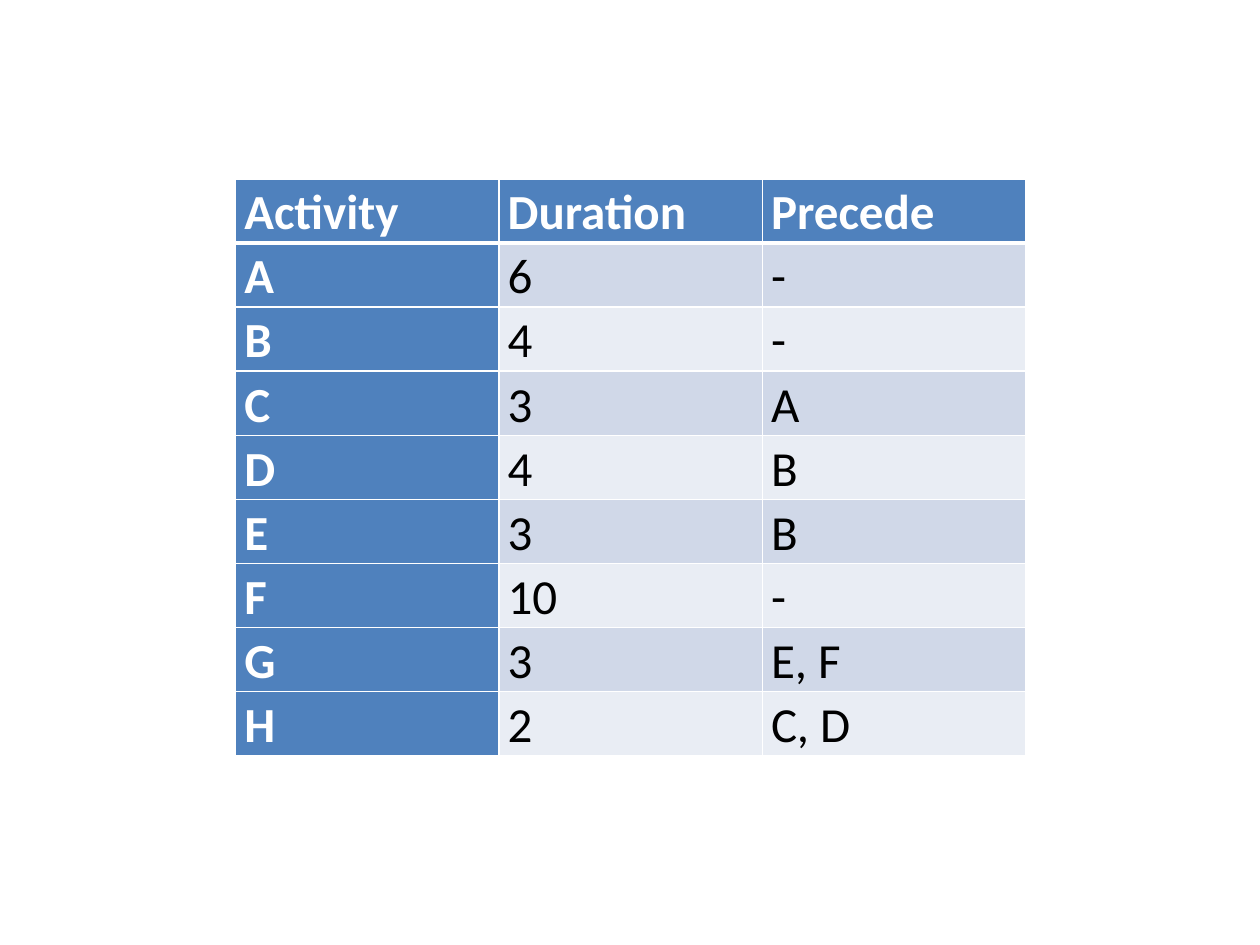
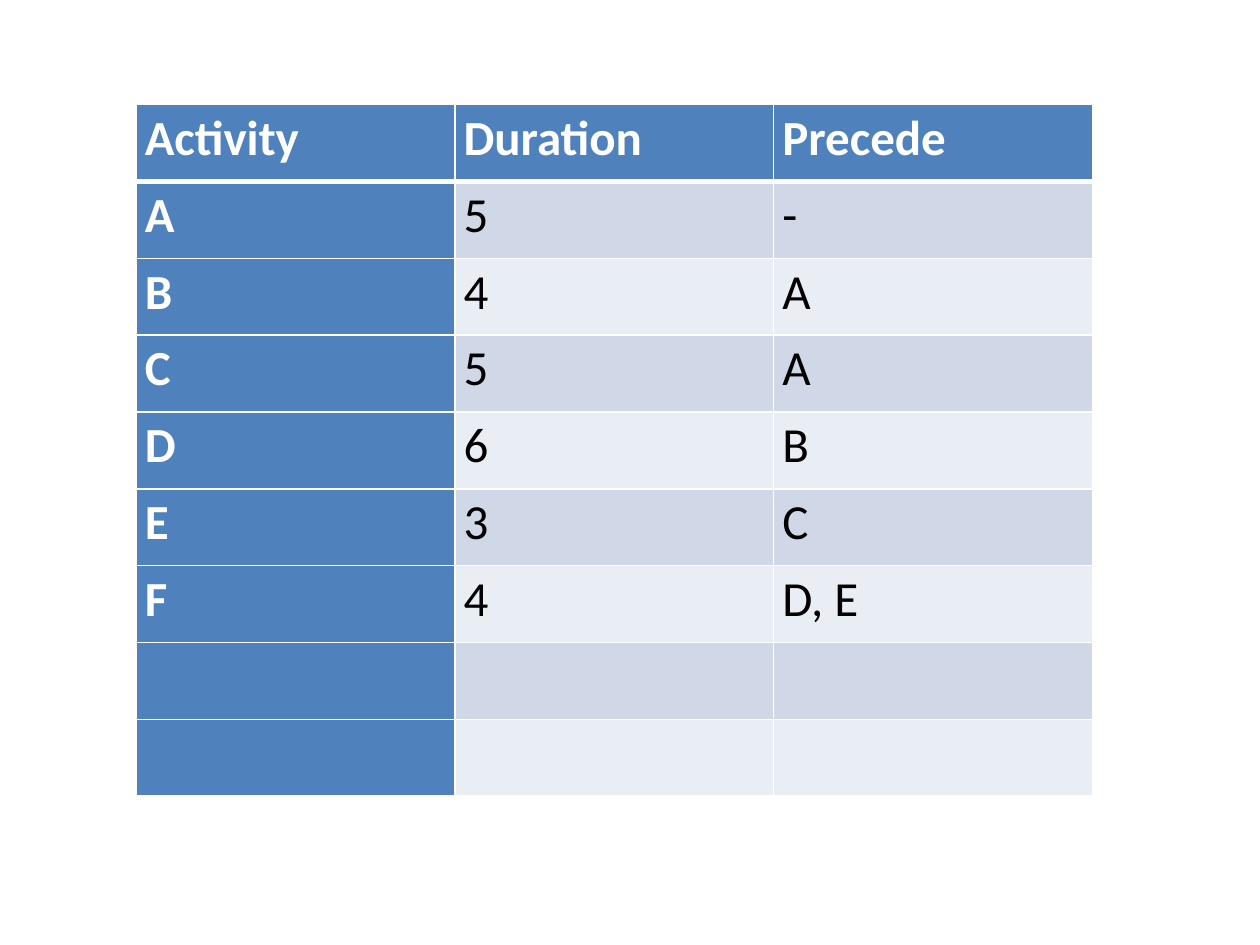
from dataclasses import dataclass

from lxml.etree import SubElement
from pptx import Presentation
from pptx.dml.color import RGBColor
from pptx.oxml.ns import qn
from pptx.slide import Slide
from pptx.table import _Cell
from pptx.util import Inches, Length, Pt

WHITE = RGBColor(0xFF, 0xFF, 0xFF)
BLACK = RGBColor(0x00, 0x00, 0x00)
HEADER_BLUE = RGBColor(0x4F, 0x81, 0xBD)
BANDS = (RGBColor(0xD0, 0xD8, 0xE8), RGBColor(0xE9, 0xED, 0xF4))

FONT_NAME = "Calibri"
FONT_SIZE = Pt(28)
LINE_SPACING = 1.07
SIDE_MARGIN = Inches(0.07)
THIN_BORDER = Pt(1)
HEADER_BORDER = Pt(3)
HEADINGS = ("Activity", "Duration", "Precede")


@dataclass(frozen=True)
class ActivityTable:
    left: Length
    top: Length
    column_width: Length
    row_height: Length
    activities: tuple[tuple[str, str, str], ...]


ACTIVITY_TABLES = (
    ActivityTable(
        Inches(1.87), Inches(1.42), Inches(2.09), Inches(0.5),
        (
            ("A", "6", "-"),
            ("B", "4", "-"),
            ("C", "3", "A"),
            ("D", "4", "B"),
            ("E", "3", "B"),
            ("F", "10", "-"),
            ("G", "3", "E, F"),
            ("H", "2", "C, D"),
        ),
    ),
    ActivityTable(
        Inches(1.08), Inches(0.83), Inches(2.53), Inches(0.61),
        (
            ("A", "5", "-"),
            ("B", "4", "A"),
            ("C", "5", "A"),
            ("D", "6", "B"),
            ("E", "3", "C"),
            ("F", "4", "D, E"),
            ("", "", ""),
            ("", "", ""),
        ),
    ),
)


def add_border(cell: _Cell, side: str, width: Length) -> None:
    properties = cell._tc.get_or_add_tcPr()
    line = SubElement(properties, qn(f"a:ln{side}"), w=str(width))
    fill = SubElement(line, qn("a:solidFill"))
    SubElement(fill, qn("a:srgbClr"), val=str(WHITE))


def write_cell(cell: _Cell, text: str, is_heading: bool) -> None:
    cell.margin_left = cell.margin_right = SIDE_MARGIN
    cell.margin_top = cell.margin_bottom = 0
    if not text:
        return
    paragraph = cell.text_frame.paragraphs[0]
    paragraph.line_spacing = LINE_SPACING
    run = paragraph.add_run()
    run.text = text
    run.font.name = FONT_NAME
    run.font.size = FONT_SIZE
    run.font.bold = is_heading
    run.font.color.rgb = WHITE if is_heading else BLACK


def style_cell(cell: _Cell, row: int, is_heading: bool) -> None:
    add_border(cell, "L", THIN_BORDER)
    add_border(cell, "R", THIN_BORDER)
    add_border(cell, "T", HEADER_BORDER if row == 1 else THIN_BORDER)
    add_border(cell, "B", HEADER_BORDER if row == 0 else THIN_BORDER)
    cell.fill.solid()
    cell.fill.fore_color.rgb = HEADER_BLUE if is_heading else BANDS[(row - 1) % 2]


def draw_activity_table(slide: Slide, layout: ActivityTable) -> None:
    rows = (HEADINGS, *layout.activities)
    table = slide.shapes.add_table(
        len(rows), len(HEADINGS), layout.left, layout.top,
        layout.column_width * len(HEADINGS), layout.row_height * len(rows),
    ).table
    table.first_row = table.horz_banding = False
    for row, texts in enumerate(rows):
        for column, text in enumerate(texts):
            cell = table.cell(row, column)
            is_heading = row == 0 or column == 0
            write_cell(cell, text, is_heading)
            style_cell(cell, row, is_heading)


def main() -> None:
    presentation = Presentation()
    presentation.slide_width = Inches(10)
    presentation.slide_height = Inches(7.5)
    blank_layout = presentation.slide_layouts[6]
    for activity_table in ACTIVITY_TABLES:
        slide = presentation.slides.add_slide(blank_layout)
        draw_activity_table(slide, activity_table)
    presentation.save("out.pptx")


if __name__ == "__main__":
    main()
